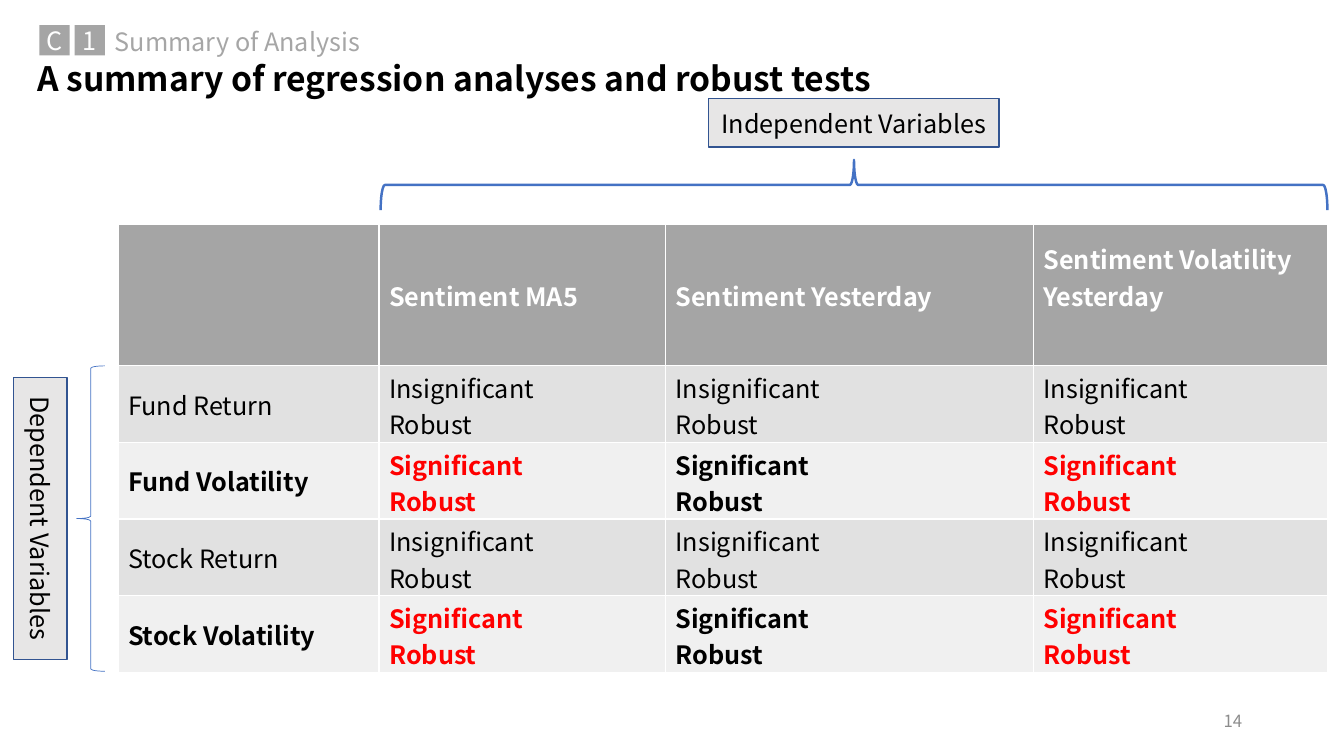
from pptx import Presentation
from pptx.dml.color import RGBColor
from pptx.enum.shapes import MSO_SHAPE
from pptx.enum.text import MSO_ANCHOR, MSO_AUTO_SIZE, PP_ALIGN
from pptx.util import Pt

PX = 9144
FONT = "Noto Sans CJK SC"
BLACK, WHITE, RED, GRAY = "000000", "FFFFFF", "FF0000", "A5A5A5"

TITLE = "A summary of regression analyses and robust tests"
SECTION = "Summary of Analysis"
CHIPS = ["C", "1"]
PAGE_NUMBER = "14"
HEADERS = ["", "Sentiment MA5", "Sentiment Yesterday", "Sentiment Volatility Yesterday"]
DEPENDENT = ["Fund Return", "Fund Volatility", "Stock Return", "Stock Volatility"]
WEAK = "Insignificant\nRobust"
STRONG = "Significant\nRobust"
STRONG_COLORS = [BLACK, RED, BLACK, RED]
COLUMN_WIDTHS = [259, 284, 365, 292]
HEADER_HEIGHT, ROW_HEIGHT = 140, 76
TABLE_LEFT, TABLE_TOP = 117, 223
BRACES = [
    (MSO_SHAPE.RIGHT_BRACE, (822, -286, 50, 939), 270, 1.75),
    (MSO_SHAPE.LEFT_BRACE, (76, 363, 28, 303), 0, 0.5),
]
LABELS = [
    ("Independent Variables", (703, 98, 288, 48), 0),
    ("Dependent Variables", (-100, 488, 280, 53), 90),
]


def color(value):
    return RGBColor.from_string(value)


def emu(box):
    return [length * PX for length in box]


def write(frame, text, size, ink, bold=False, align=PP_ALIGN.LEFT):
    for index, line in enumerate(text.split("\n")):
        para = frame.add_paragraph() if index else frame.paragraphs[0]
        para.text = line
        para.alignment = align
        para.font.name = FONT
        para.font.size = Pt(size)
        para.font.bold = bold
        para.font.color.rgb = color(ink)


def add_text(page, box, text, size, ink, align=PP_ALIGN.LEFT, anchor=MSO_ANCHOR.TOP):
    frame = page.shapes.add_textbox(*emu(box)).text_frame
    frame.word_wrap = True
    frame.vertical_anchor = anchor
    write(frame, text, size, ink, align=align)


def add_figure(page, preset, box, fill=None, line=None, width=1, rotation=0):
    figure = page.shapes.add_shape(preset, *emu(box))
    figure.shadow.inherit = False
    figure.rotation = rotation
    if fill:
        figure.fill.solid()
        figure.fill.fore_color.rgb = color(fill)
    else:
        figure.fill.background()
    if line:
        figure.line.color.rgb = color(line)
        figure.line.width = Pt(width)
    else:
        figure.line.fill.background()
    return figure


def add_heading(page):
    title = page.shapes.title
    title.left, title.top, title.width, title.height = emu((27, 52, 1200, 50))
    title.text_frame.auto_size = MSO_AUTO_SIZE.NONE
    title.text_frame.vertical_anchor = MSO_ANCHOR.TOP
    write(title.text_frame, TITLE, 24, BLACK, bold=True)
    for index, letter in enumerate(CHIPS):
        chip = add_figure(page, MSO_SHAPE.RECTANGLE, (39 + 35 * index, 25, 30, 30), GRAY)
        frame = chip.text_frame
        frame.margin_left = frame.margin_right = frame.margin_top = frame.margin_bottom = 0
        frame.word_wrap = False
        frame.vertical_anchor = MSO_ANCHOR.MIDDLE
        write(frame, letter, 18, WHITE, align=PP_ALIGN.CENTER)
    add_text(page, (104, 21, 267, 40), SECTION, 18, "A6A6A6")


def fill_cell(cell, text, fill, ink, bold):
    cell.fill.solid()
    cell.fill.fore_color.rgb = color(fill)
    cell.vertical_anchor = MSO_ANCHOR.MIDDLE
    write(cell.text_frame, text, 18, ink, bold)


def add_results(page):
    heights = [HEADER_HEIGHT] + [ROW_HEIGHT] * len(DEPENDENT)
    box = (TABLE_LEFT, TABLE_TOP, sum(COLUMN_WIDTHS), sum(heights))
    table = page.shapes.add_table(len(heights), len(HEADERS), *emu(box)).table
    for column, width in zip(table.columns, COLUMN_WIDTHS):
        column.width = width * PX
    for row, height in zip(table.rows, heights):
        row.height = height * PX
    for column, header in enumerate(HEADERS):
        fill_cell(table.cell(0, column), header, GRAY, WHITE, True)
    table.cell(0, len(HEADERS) - 1).margin_bottom = 41 * PX
    for row, name in enumerate(DEPENDENT, 1):
        strong = row % 2 == 0
        fill = "F0F0F0" if strong else "E1E1E1"
        for column, strong_ink in enumerate(STRONG_COLORS):
            cell = table.cell(row, column)
            result = STRONG if strong else WEAK
            if column:
                cell.margin_top, cell.margin_bottom = 3 * PX, 0
            fill_cell(cell, result if column else name, fill,
                      strong_ink if strong else BLACK, strong)


def add_annotations(page):
    for preset, box, rotation, width in BRACES:
        add_figure(page, preset, box, line="4472C4", width=width, rotation=rotation)
    for text, box, rotation in LABELS:
        label = add_figure(page, MSO_SHAPE.RECTANGLE, box, "E7E6E6", "325491", rotation=rotation)
        label.text_frame.vertical_anchor = MSO_ANCHOR.MIDDLE
        write(label.text_frame, text, 18, BLACK, align=PP_ALIGN.CENTER)


def main():
    deck = Presentation()
    deck.slide_width, deck.slide_height = emu((1333, 750))
    page = deck.slides.add_slide(deck.slide_layouts[5])
    add_text(page, (942, 695, 300, 40), PAGE_NUMBER, 12, "8C8C8C",
             PP_ALIGN.RIGHT, MSO_ANCHOR.MIDDLE)
    add_heading(page)
    add_results(page)
    add_annotations(page)
    deck.save("out.pptx")


if __name__ == "__main__":
    main()
